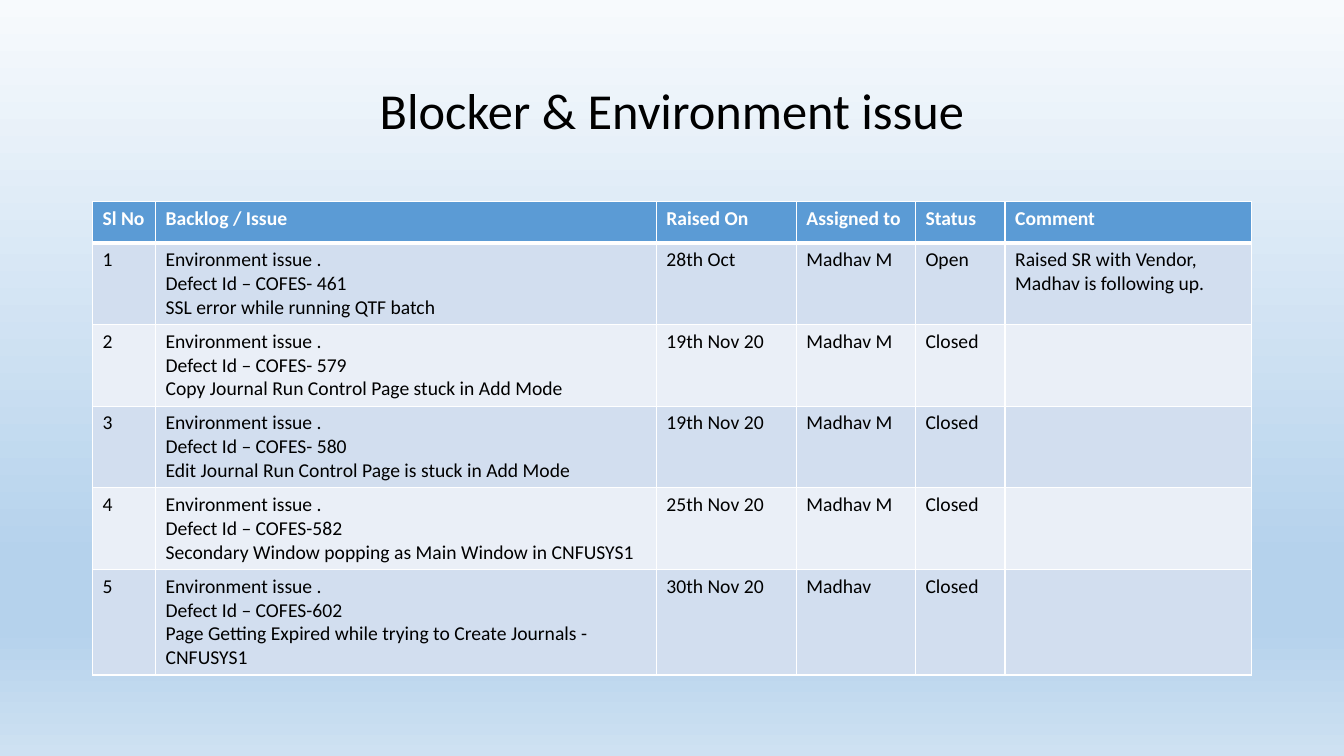
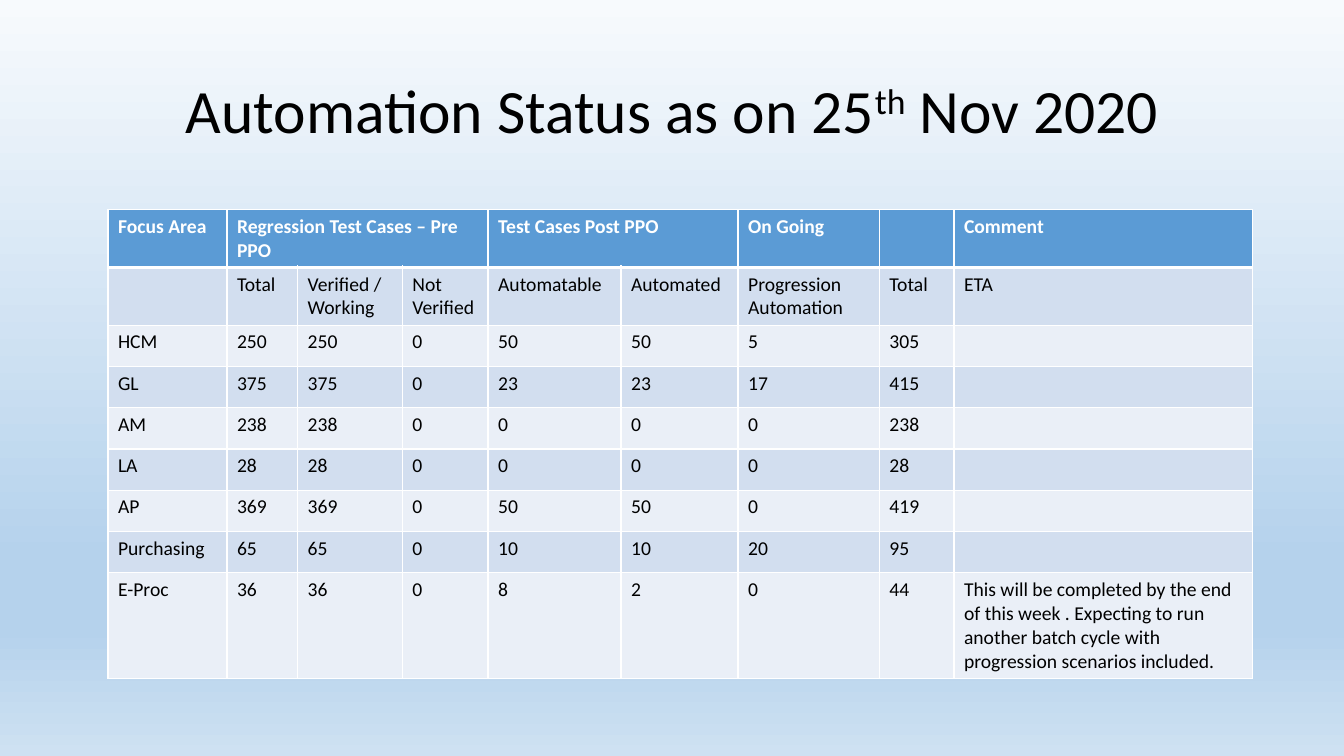
from dataclasses import dataclass
from typing import NamedTuple

from lxml.etree import SubElement
from pptx import Presentation
from pptx.dml.color import RGBColor
from pptx.enum.text import MSO_ANCHOR as Anchor, PP_ALIGN as Align
from pptx.oxml.ns import qn
from pptx.util import Cm, Pt

FONT = "Calibri"
BLACK = "000000"
WHITE = "FFFFFF"
HEADER_BLUE = "5B9BD5"
BAND_FILLS = ("D2DEEF", "EAEFF7")
BACKGROUND_STOPS = ((0, "F7FAFD"), (74, "B5D2EC"), (83, "B5D2EC"), (100, "CEE1F2"))
TITLE_ONLY = 5
ROW_HEIGHT = 1.04
THIN, THICK = 1, 3


class TitlePart(NamedTuple):
    text: str
    superscript: bool = False


class Issue(NamedTuple):
    defect: str
    summary: str
    raised: str
    assignee: str = "Madhav M"
    status: str = "Closed"
    comment: str = ""

    def as_row(self, number: int) -> list[str]:
        backlog = f"Environment issue .\nDefect Id – COFES-{self.defect}\n{self.summary}"
        return [str(number), backlog, self.raised, self.assignee, self.status, self.comment]


class FocusArea(NamedTuple):
    name: str
    regression: int
    automatable: int
    automated: int
    progression: int
    comment: str = ""
    not_verified: int = 0

    def as_row(self) -> list[str]:
        verified = self.regression - self.not_verified
        total = self.regression + self.automatable + self.progression
        counts = (self.regression, verified, self.not_verified, self.automatable,
                  self.automated, self.progression, total)
        return [self.name, *map(str, counts), self.comment]


@dataclass
class TableSlide:
    title: list[TitlePart]
    title_size: int
    left: float
    top: float
    column_widths: list[float]
    rows: list[list[str]]
    header_spans: tuple[tuple[int, int], ...] = ()


def color(value: str) -> RGBColor:
    return RGBColor.from_string(value)


def style_font(font, size: float, fill: str, bold: bool = False) -> None:
    font.name = FONT
    font.size = Pt(size)
    font.bold = bold
    font.color.rgb = color(fill)


def style_master(master) -> None:
    fill = master.background.fill
    fill.gradient()
    fill.gradient_angle = 270
    stops = next(master.element.cSld.iter(qn("a:gsLst")))
    for stop in list(stops):
        stops.remove(stop)
    for position, value in BACKGROUND_STOPS:
        stop = SubElement(stops, qn("a:gs"), pos=str(position * 1000))
        SubElement(stop, qn("a:srgbClr"), val=value)


def fill_title(shape, parts: list[TitlePart], size: int) -> None:
    shape.left, shape.top = Cm(2.33), Cm(1.02)
    shape.width, shape.height = Cm(29.21), Cm(3.68)
    frame = shape.text_frame
    frame.word_wrap = True
    frame.vertical_anchor = Anchor.MIDDLE
    paragraph = frame.paragraphs[0]
    paragraph.alignment = Align.CENTER
    paragraph.line_spacing = 0.9
    for part in parts:
        run = paragraph.add_run()
        run.text = part.text
        style_font(run.font, size, BLACK)
        if part.superscript:
            run._r.get_or_add_rPr().set("baseline", "30000")


def set_borders(cell, top: float, bottom: float) -> None:
    properties = cell._tc.get_or_add_tcPr()
    widths = {"lnL": THIN, "lnR": THIN, "lnT": top, "lnB": bottom}
    for index, (side, width) in enumerate(widths.items()):
        line = SubElement(properties, qn(f"a:{side}"), w=str(Pt(width)))
        solid = SubElement(line, qn("a:solidFill"))
        SubElement(solid, qn("a:srgbClr"), val=WHITE)
        properties.insert(index, line)


def fill_cell(cell, text: str, row_index: int) -> None:
    header = row_index == 0
    cell.fill.solid()
    cell.fill.fore_color.rgb = color(HEADER_BLUE if header else BAND_FILLS[(row_index - 1) % 2])
    set_borders(cell, THICK if row_index == 1 else THIN, THICK if header else THIN)
    cell.text_frame.text = text
    for paragraph in cell.text_frame.paragraphs:
        style_font(paragraph.font, 14, WHITE if header else BLACK, header)
        for run in paragraph.runs:
            style_font(run.font, 14, WHITE if header else BLACK, header)


def add_table_slide(presentation, content: TableSlide) -> None:
    slide = presentation.slides.add_slide(presentation.slide_layouts[TITLE_ONLY])
    fill_title(slide.shapes.title, content.title, content.title_size)
    row_count = len(content.rows)
    table = slide.shapes.add_table(
        row_count, len(content.column_widths), Cm(content.left), Cm(content.top),
        Cm(sum(content.column_widths)), Cm(ROW_HEIGHT * row_count),
    ).table
    for column, width in zip(table.columns, content.column_widths):
        column.width = Cm(width)
    for row_index, texts in enumerate(content.rows):
        table.rows[row_index].height = Cm(ROW_HEIGHT)
        for column_index, text in enumerate(texts):
            fill_cell(table.cell(row_index, column_index), text, row_index)
    for first, last in content.header_spans:
        table.cell(0, first).merge(table.cell(0, last))


ISSUES = [
    Issue(" 461", "SSL error while running QTF batch", "28th Oct", status="Open",
          comment="Raised SR with Vendor, Madhav is following up."),
    Issue(" 579", "Copy Journal Run Control Page stuck in Add Mode", "19th Nov 20"),
    Issue(" 580", "Edit Journal Run Control Page is stuck in Add Mode", "19th Nov 20"),
    Issue("582", "Secondary Window popping as Main Window in CNFUSYS1", "25th Nov 20"),
    Issue("602", "Page Getting Expired while trying to Create Journals - CNFUSYS1",
          "30th Nov 20", assignee="Madhav"),
]

FOCUS_AREAS = [
    FocusArea("HCM", 250, 50, 50, 5),
    FocusArea("GL", 375, 23, 23, 17),
    FocusArea("AM", 238, 0, 0, 0),
    FocusArea("LA", 28, 0, 0, 0),
    FocusArea("AP", 369, 50, 50, 0),
    FocusArea("Purchasing", 65, 10, 10, 20),
    FocusArea("E-Proc", 36, 8, 2, 0,
              "This will be completed by the end of this week . Expecting to run "
              "another batch cycle with progression scenarios included."),
]

SLIDES = [
    TableSlide(
        title=[TitlePart("Blocker & Environment issue")],
        title_size=36,
        left=2.33,
        top=5.08,
        column_widths=[1.59, 12.62, 3.53, 3, 2.26, 6.21],
        rows=[
            ["Sl No", "Backlog / Issue", "Raised On", "Assigned to", "Status", "Comment"],
            *(issue.as_row(number) for number, issue in enumerate(ISSUES, 1)),
        ],
    ),
    TableSlide(
        title=[TitlePart("Automation Status as on 25"), TitlePart("th", True),
               TitlePart(" Nov 2020")],
        title_size=44,
        left=2.72,
        top=5.28,
        column_widths=[3, 1.78, 2.64, 2.16, 3.35, 2.95, 3.56, 1.88, 7.52],
        rows=[
            ["Focus Area", "Regression Test Cases – Pre PPO", "", "",
             "Test Cases Post PPO", "", "On Going", "", "Comment"],
            ["", "Total", "Verified / Working", "Not Verified", "Automatable",
             "Automated", "Progression Automation", "Total", "ETA"],
            *(area.as_row() for area in FOCUS_AREAS),
        ],
        header_spans=((1, 3), (4, 5)),
    ),
]


def main() -> None:
    presentation = Presentation()
    presentation.slide_width, presentation.slide_height = Cm(33.87), Cm(19.05)
    style_master(presentation.slide_master)
    for content in SLIDES:
        add_table_slide(presentation, content)
    presentation.save("out.pptx")


main()
